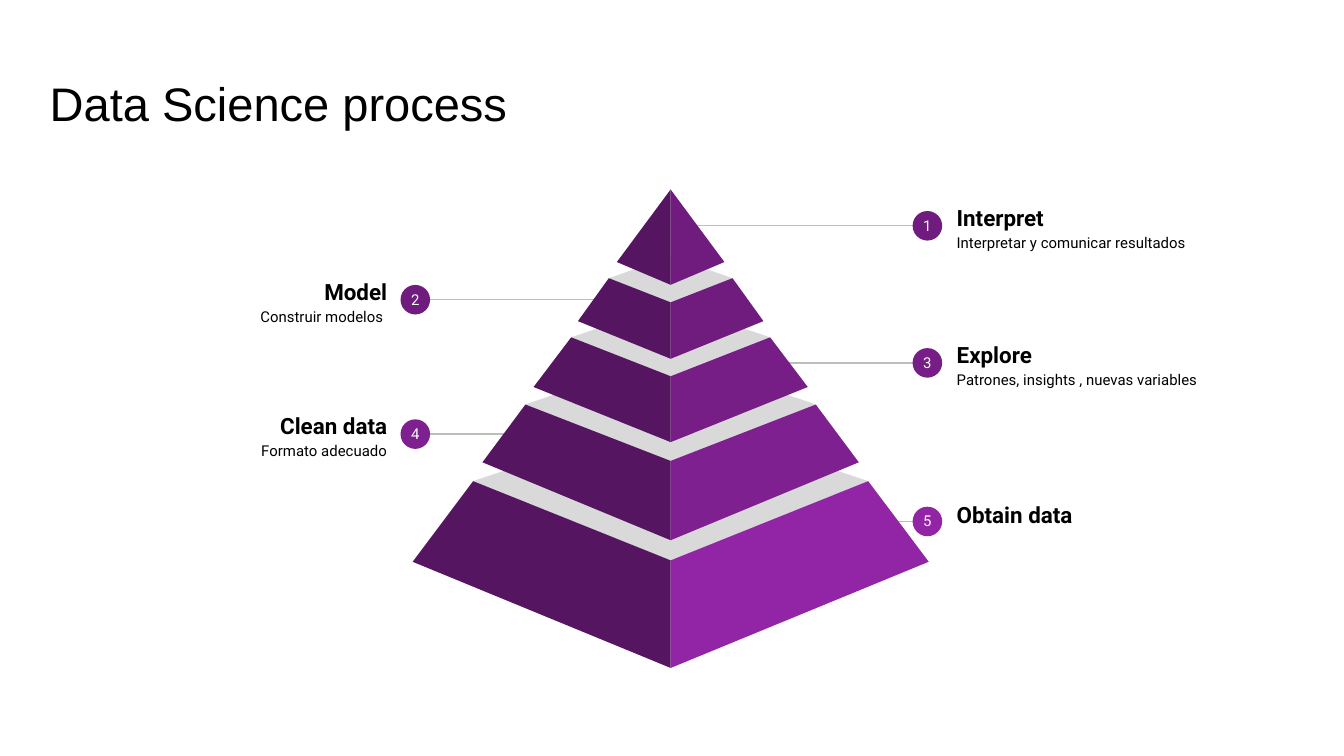
from lxml import etree
from pptx import Presentation
from pptx.dml.color import RGBColor
from pptx.enum import shapes, text
from pptx.oxml.ns import qn
from pptx.util import Inches, Pt

# Content
TITLE = "Data Science process"
# number, heading, detail, side, centre y, x where the line meets the pyramid
STEPS = [
    ("1", "Interpret", "Interpretar y comunicar resultados", "right", 1.68, 5.17),
    ("2", "Model", "Construir modelos ", "left", 2.23, 4.45),
    ("3", "Explore", "Patrones, insights , nuevas variables", "right", 2.70, 5.75),
    ("4", "Clean data", "Formato adecuado", "left", 3.23, 3.96),
    ("5", "Obtain data", "", "right", 3.88, 6.31),
]
# Each tier: top edge and bottom edge as (half width, outer y, centre y),
# then the y of the lid's back corner
TIERS = [
    ((0, 1.41, 1.41), (0.40, 1.95, 2.12), None),
    ((0.46, 2.07, 2.25), (0.69, 2.39, 2.67), 1.91),
    ((0.74, 2.51, 2.80), (1.02, 2.88, 3.29), 2.26),
    ((1.08, 3.01, 3.43), (1.40, 3.44, 4.02), 2.64),
    ((1.47, 3.58, 4.17), (1.92, 4.18, 4.97), 3.09),
]
THEME = {
    "title_font": "Arial", "font": "Roboto",
    "title_size": 25.2, "heading_size": 12, "small_size": 8,
    "text": "000000", "white": "FFFFFF", "line": "BDBDBD",
    "lid": "D9D9D9", "dark": "551561",
    "steps": ["701C7F", "701C7F", "761E86", "7F2090", "9225A5"],
}

# Layout
SLIDE_W = Inches(10)
SLIDE_H = SLIDE_W * 9 // 16
AXIS = 4.99
DOT, NUM_W, NUM_H = 0.22, 0.27, 0.34
LABEL_W, LABEL_H = 2.33, 0.82
SIDES = {  # dot centre, line end, label left, alignment
    "right": (6.90, 6.98, 7.02, text.PP_ALIGN.LEFT),
    "left": (3.09, 3.03, 0.65, text.PP_ALIGN.RIGHT),
}


def rgb(value):
    return RGBColor.from_string(value)


def paint(s, color):
    s.shadow.inherit = False
    s.fill.solid()
    s.fill.fore_color.rgb = rgb(color)
    s.line.fill.background()


def set_frame(tf, anchor):
    tf.word_wrap = True
    tf.auto_size = text.MSO_AUTO_SIZE.NONE
    tf.vertical_anchor = anchor
    tf.margin_left = tf.margin_right = Inches(0.1)
    tf.margin_top = tf.margin_bottom = Inches(0.1)


def add_run(p, words, size, color, font=THEME["font"], bold=False):
    r = p.add_run()
    r.text = words
    r.font.name, r.font.size, r.font.bold = font, Pt(size), bold
    r.font.color.rgb = rgb(color)


def add_text_box(x, y, w, h, anchor):
    box = slide.shapes.add_textbox(Inches(x), Inches(y), Inches(w), Inches(h))
    set_frame(box.text_frame, anchor)
    return box.text_frame


def add_polygon(points, color):
    pts = [(Inches(x), Inches(y)) for x, y in points]
    builder = slide.shapes.build_freeform(*pts[0], scale=1.0)
    builder.add_line_segments(pts[1:], close=True)
    paint(builder.convert_to_shape(), color)


def add_step(step, color):
    number, heading, detail, side, y, edge_x = step
    dot_x, line_x, label_x, align = SIDES[side]

    # Leader line
    line = slide.shapes.add_connector(
        shapes.MSO_CONNECTOR.STRAIGHT,
        Inches(edge_x), Inches(y), Inches(line_x), Inches(y))
    line.line.color.rgb = rgb(THEME["line"])
    line.line.width = Pt(0.75)
    etree.SubElement(line._element.spPr, qn("a:effectLst"))

    # Numbered dot
    dot = slide.shapes.add_shape(
        shapes.MSO_SHAPE.OVAL, Inches(dot_x - DOT / 2), Inches(y - DOT / 2),
        Inches(DOT), Inches(DOT))
    paint(dot, color)
    tf = add_text_box(dot_x - NUM_W / 2, y - NUM_H / 2, NUM_W, NUM_H,
                      text.MSO_ANCHOR.TOP)
    tf.paragraphs[0].alignment = text.PP_ALIGN.CENTER
    add_run(tf.paragraphs[0], number, THEME["small_size"], THEME["white"])

    # Heading and detail; a lone heading is raised to the same height
    top = y - LABEL_H / 2 - (0 if detail else 0.07)
    tf = add_text_box(label_x, top, LABEL_W, LABEL_H, text.MSO_ANCHOR.MIDDLE)
    p = tf.paragraphs[0]
    add_run(p, heading, THEME["heading_size"], THEME["text"], bold=True)
    if detail:
        add_run(tf.add_paragraph(), detail, THEME["small_size"], THEME["text"])
    for p in tf.paragraphs:
        p.alignment, p.line_spacing = align, 1.15


def add_tier(tier, color):
    (top_w, top_y, top_mid), (low_w, low_y, low_mid), back_y = tier
    if back_y is not None:
        add_polygon([(AXIS - top_w, top_y), (AXIS, top_mid + 0.01),
                     (AXIS + top_w, top_y), (AXIS, back_y)], THEME["lid"])
    for sign, fill in ((-1, THEME["dark"]), (1, color)):
        face = [(AXIS + sign * top_w, top_y), (AXIS + sign * low_w, low_y),
                (AXIS, low_mid)]
        if top_w:
            face.append((AXIS, top_mid))
        add_polygon(face, fill)


prs = Presentation()
prs.slide_width, prs.slide_height = SLIDE_W, SLIDE_H
slide = prs.slides.add_slide(prs.slide_layouts[5])

# Title
title = slide.shapes.title
title.left, title.top = Inches(0.27), Inches(0.45)
title.width, title.height = Inches(9.32), Inches(0.63)
set_frame(title.text_frame, text.MSO_ANCHOR.MIDDLE)
p = title.text_frame.paragraphs[0]
p.alignment = text.PP_ALIGN.LEFT
add_run(p, TITLE, THEME["title_size"], THEME["text"], THEME["title_font"])

# Labels, then the pyramid from its base upwards
for step, color in zip(STEPS, THEME["steps"]):
    add_step(step, color)
for tier, color in reversed(list(zip(TIERS, THEME["steps"]))):
    add_tier(tier, color)

prs.save("out.pptx")
